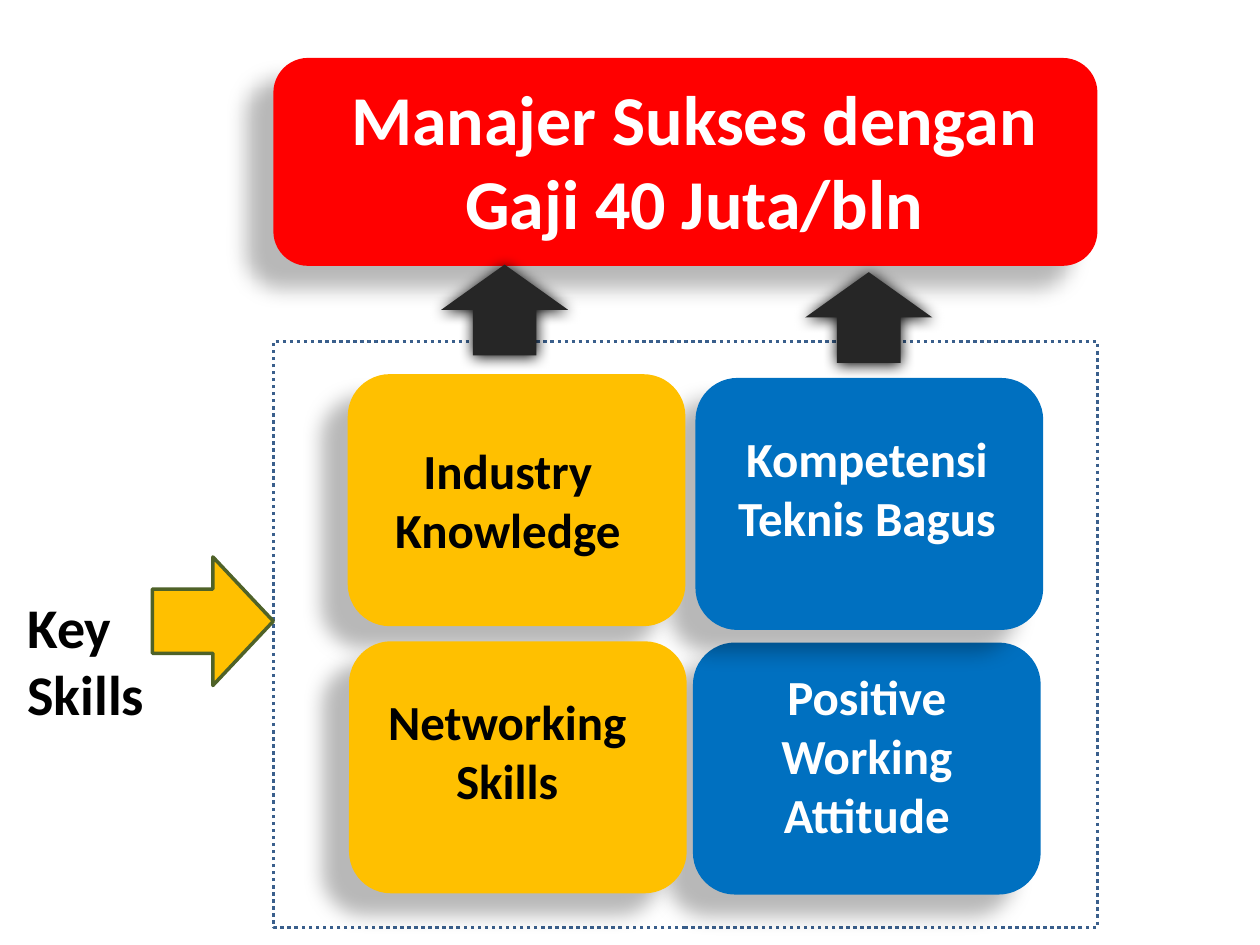
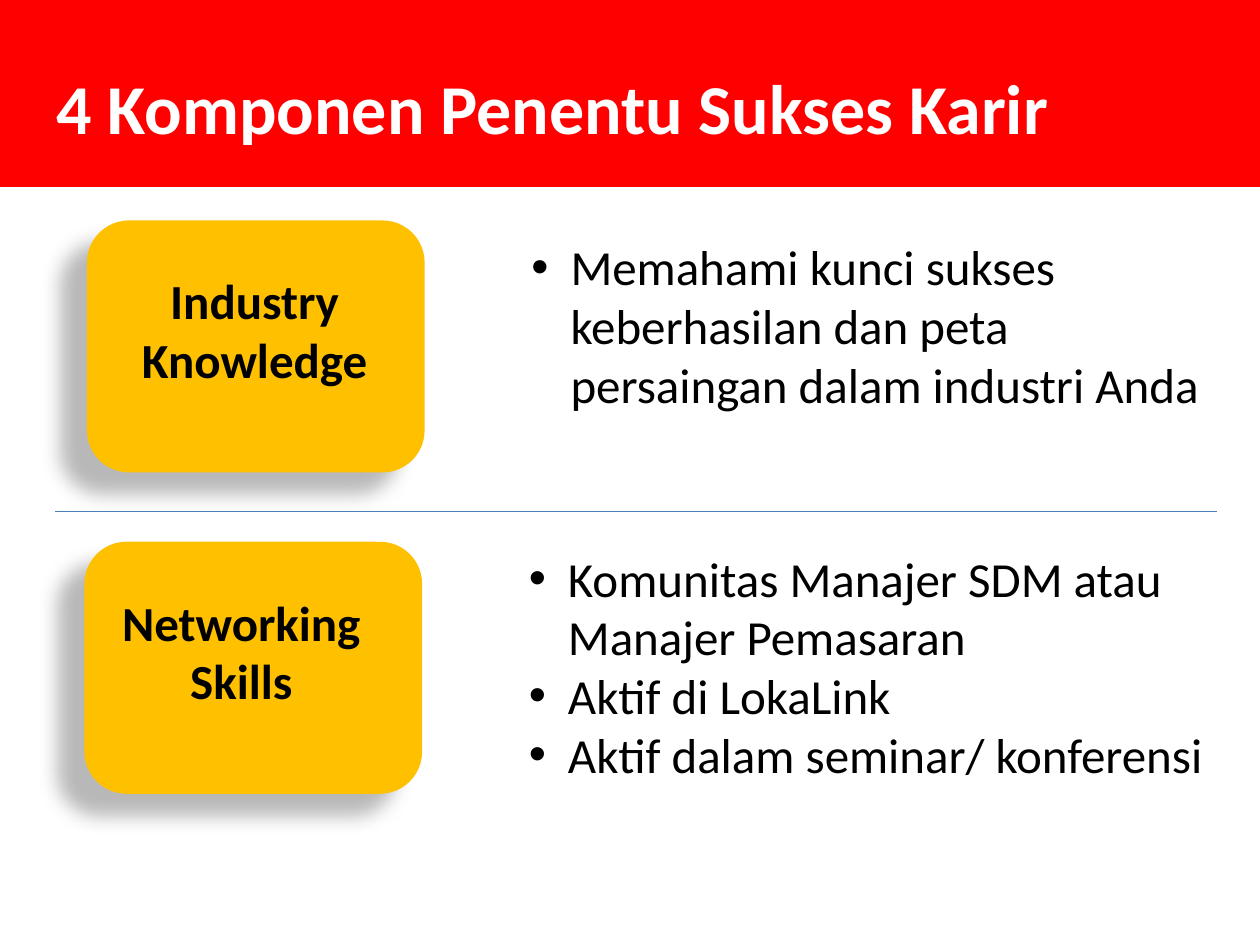
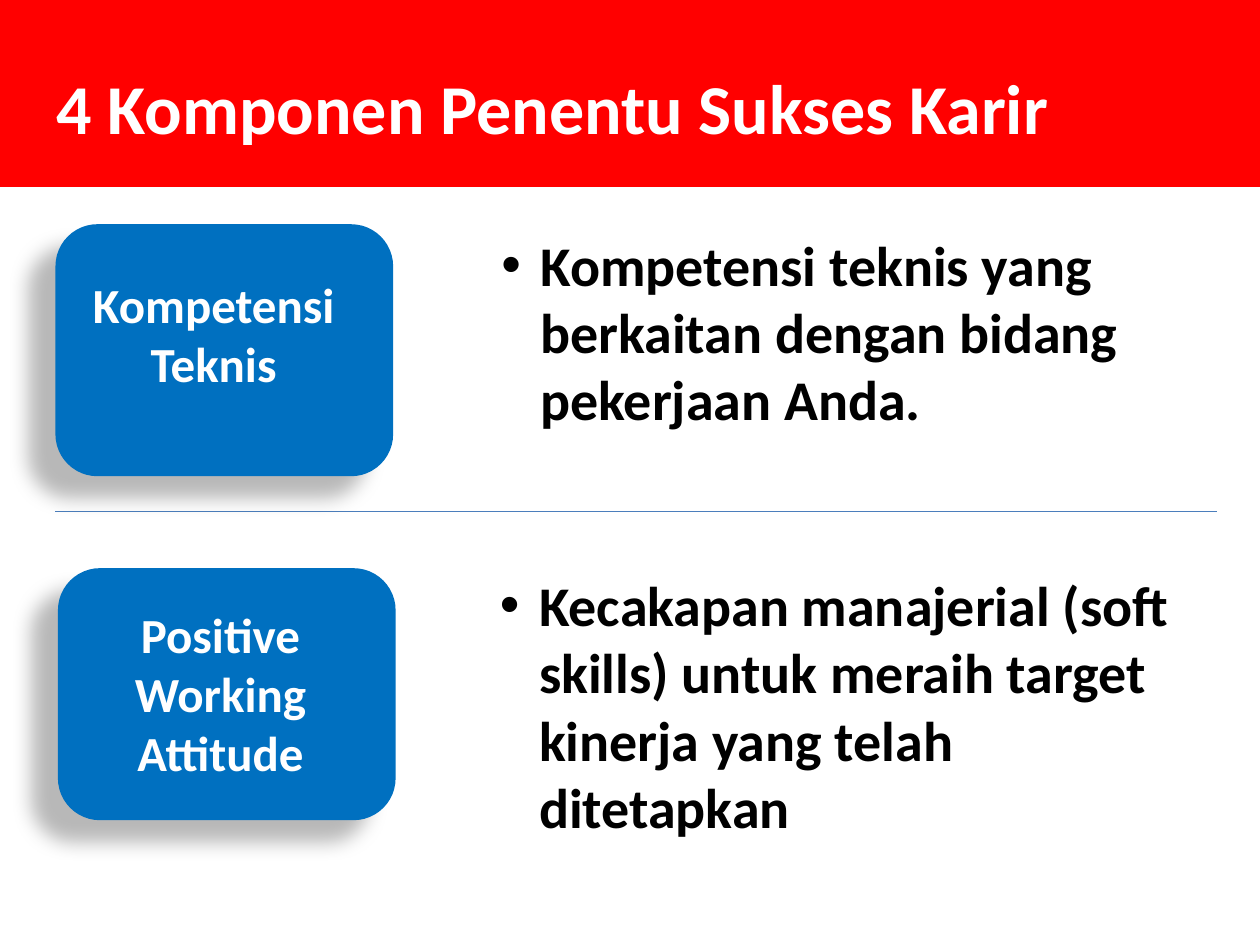
import lxml.etree
import pptx
import pptx.dml.color
import pptx.enum.dml
import pptx.enum.shapes
import pptx.enum.text
import pptx.oxml.ns
import pptx.util

PX = 9144
FONT = "Calibri"
RED, YELLOW, BLUE = "FF0000", "FFC000", "0070C0"
WHITE, BLACK, CHARCOAL = "FFFFFF", "000000", "262626"
INK_ON = {YELLOW: BLACK, BLUE: WHITE}
CARD_SHADOW = (28, 11.8, 19.7, 141)
ARROW_SHADOW = (100, 8.5, 1, 90)
SHAPES = pptx.enum.shapes.MSO_SHAPE
LEFT = pptx.enum.text.PP_ALIGN.LEFT
CENTER = pptx.enum.text.PP_ALIGN.CENTER


def emu(lengths):
    return [pptx.util.Emu(length * PX) for length in lengths]


def color(value):
    return pptx.dml.color.RGBColor.from_string(value)


def add_element(parent, name, **attributes):
    element = lxml.etree.SubElement(parent, pptx.oxml.ns.qn(name))
    for key, value in attributes.items():
        element.set(key, str(value))
    return element


def add_shadow(shape, opacity, blur, distance, angle):
    effects = shape.element.spPr.find(pptx.oxml.ns.qn("a:effectLst"))
    shadow = add_element(
        effects, "a:outerShdw", blurRad=int(blur * 12700),
        dist=int(distance * 12700), dir=angle * 60000, algn="ctr", rotWithShape=0)
    tint = add_element(shadow, "a:srgbClr", val=BLACK)
    add_element(tint, "a:alpha", val=opacity * 1000)


def add_block(page, kind, box, fill=None, line=None, shadow=None):
    shape = page.shapes.add_shape(kind, *emu(box))
    shape.shadow.inherit = False
    if fill:
        shape.fill.solid()
        shape.fill.fore_color.rgb = color(fill)
    else:
        shape.fill.background()
    if line:
        shape.line.color.rgb = color(line)
        shape.line.width = pptx.util.Pt(2)
    else:
        shape.line.fill.background()
    if shadow:
        add_shadow(shape, *shadow)
    return shape


def add_bullet(para):
    properties = para._p.get_or_add_pPr()
    properties.set("marL", str(31 * PX))
    properties.set("indent", str(-31 * PX))
    add_element(properties, "a:buFont", typeface="Arial")
    add_element(properties, "a:buChar", char="•")


def add_text(page, box, lines, size, ink, bold=True, align=LEFT, bullets=False, wrap=True):
    frame = page.shapes.add_textbox(*emu(box)).text_frame
    frame.word_wrap = wrap
    frame.auto_size = pptx.enum.text.MSO_AUTO_SIZE.SHAPE_TO_FIT_TEXT
    for index, line in enumerate(lines):
        para = frame.add_paragraph() if index else frame.paragraphs[0]
        para.text = line
        para.alignment = align
        if bullets:
            add_bullet(para)
        para.font.name = FONT
        para.font.size = pptx.util.Pt(size)
        para.font.bold = bold
        para.font.color.rgb = color(ink)


def add_card(page, box, fill, caption, caption_offset):
    add_block(page, SHAPES.ROUNDED_RECTANGLE, box, fill, shadow=CARD_SHADOW)
    left, top, width, height = caption_offset
    add_text(page, (box[0] + left, box[1] + top, width, height),
             [caption], 28, INK_ON[fill], align=CENTER)


def add_banner(page, box):
    left, top = box[:2]
    add_block(page, SHAPES.ROUNDED_RECTANGLE, box, RED, shadow=CARD_SHADOW)
    add_text(page, (left + 15, top + 9, 638, 145),
             ["Manajer Sukses dengan Gaji 40 Juta/bln"], 40, WHITE, align=CENTER)


def add_key_skills(page, box):
    left, top = box[:2]
    add_text(page, (left, top + 23, 114, 118), ["Key", "Skills"], 32, BLACK, wrap=False)
    add_block(page, SHAPES.RIGHT_ARROW, (left + 109, top, 96, 102), YELLOW, "4F6228")


def add_skill_panel(page, box):
    left, top = box[:2]
    panel = add_block(page, SHAPES.RECTANGLE, box, line="3A5F8C")
    panel.line.dash_style = pptx.enum.dml.MSO_LINE.ROUND_DOT
    cards = [
        ((333, 239, 276, 200), BLUE, "Positive Working Attitude", (0, 14, 276, 151)),
        ((335, 29, 276, 200), BLUE, "Kompetensi Teknis Bagus", (-4, 35, 280, 104)),
        ((59, 26, 268, 200), YELLOW, "Industry Knowledge", (12, 48, 230, 104)),
        ((60, 238, 268, 200), YELLOW, "Networking Skills", (1, 35, 249, 104)),
    ]
    for (x, y, width, height), fill, caption, offset in cards:
        add_card(page, (left + x, top + y, width, height), fill, caption, offset)


def build_overview(page):
    add_skill_panel(page, (217, 271, 654, 465))
    add_banner(page, (217, 46, 654, 165))
    for left, top in ((350, 210), (639, 216)):
        add_block(page, SHAPES.UP_ARROW, (left, top, 101, 72), CHARCOAL, shadow=ARROW_SHADOW)
    add_key_skills(page, (12, 442, 205, 141))


def add_header(page, box):
    left, top = box[:2]
    add_block(page, SHAPES.RECTANGLE, box, RED, RED)
    add_text(page, (left + 35, top + 46, 858, 77),
             ["4 Komponen Penentu Sukses Karir"], 40, WHITE)


def add_divider(page, left, top, width):
    divider = page.shapes.add_connector(
        pptx.enum.shapes.MSO_CONNECTOR.STRAIGHT, *emu((left, top, left + width, top)))
    divider.line.color.rgb = color("4B7EBC")
    divider.line.width = pptx.util.Pt(0.75)
    add_element(divider.element.spPr, "a:effectLst")


def build_components(page, fill, size, bold, components):
    add_header(page, (0, 0, 1000, 147))
    add_divider(page, 44, 406, 922)
    for (left, top), caption, offset, points_box, points in components:
        add_card(page, (left, top, 268, 200), fill, caption, offset)
        x, y, width, height = points_box
        add_text(page, (left + x, top + y, width, height), points, size, BLACK, bold, bullets=True)


def main():
    deck = pptx.Presentation()
    deck.slide_width, deck.slide_height = emu((1000, 750))
    overview, knowledge, competence = [
        deck.slides.add_slide(deck.slide_layouts[6]) for _ in range(3)]
    build_overview(overview)
    build_components(knowledge, YELLOW, 28, False, [
        ((69, 175), "Industry Knowledge", (18, 35, 230, 104), (343, 8, 567, 151),
         ["Memahami kunci sukses keberhasilan dan peta persaingan dalam industri Anda"]),
        ((67, 430), "Networking Skills", (0, 35, 249, 104), (343, 0, 567, 199),
         ["Komunitas Manajer SDM atau Manajer Pemasaran",
          "Aktif di LokaLink",
          "Aktif dalam seminar/ konferensi"]),
    ])
    build_components(competence, BLUE, 32, True, [
        ((44, 178), "Kompetensi Teknis", (1, 35, 249, 104), (344, 0, 539, 172),
         ["Kompetensi teknis yang berkaitan dengan bidang pekerjaan Anda."]),
        ((46, 451), "Positive Working Attitude", (14, 24, 230, 151), (341, -3, 567, 226),
         ["Kecakapan manajerial (soft skills) untuk meraih target kinerja yang telah ditetapkan"]),
    ])
    deck.save("out.pptx")


if __name__ == "__main__":
    main()
